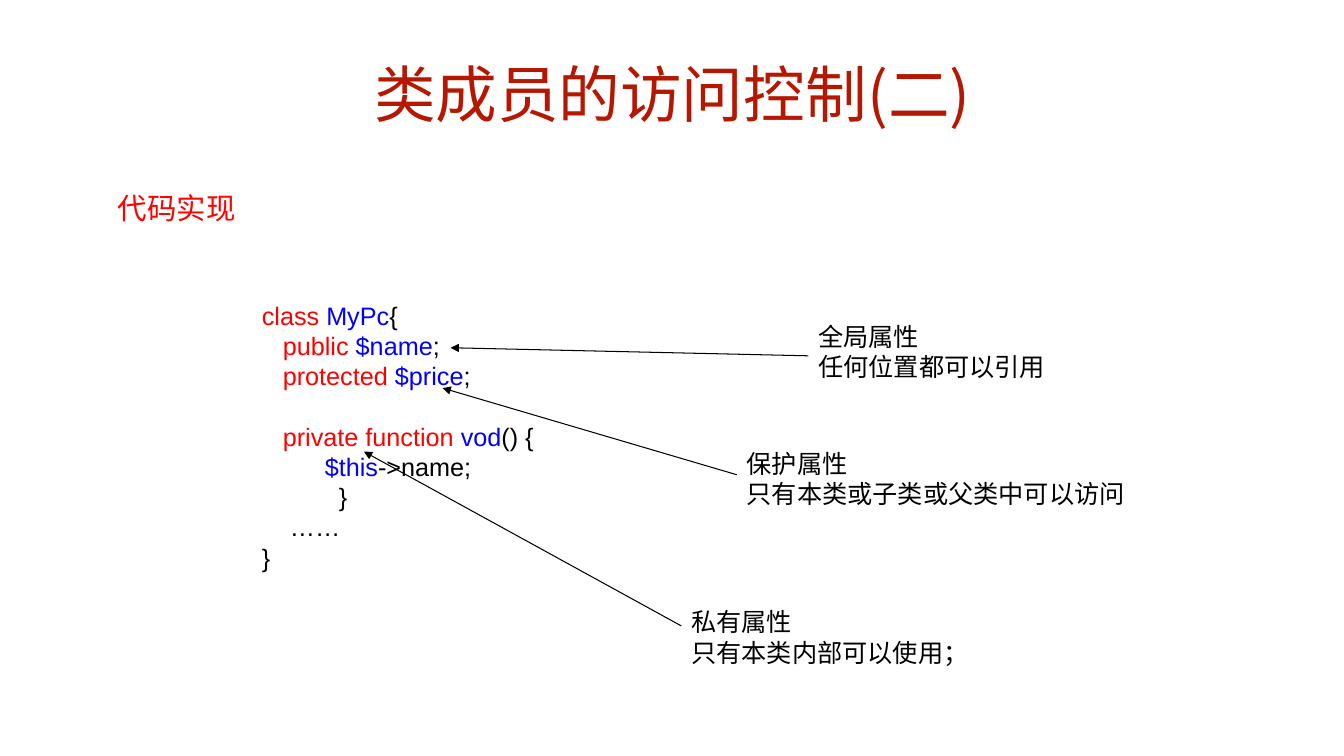
from dataclasses import dataclass

from lxml.etree import SubElement
from pptx import Presentation
from pptx.dml.color import RGBColor
from pptx.enum.shapes import MSO_CONNECTOR as Connector, MSO_SHAPE as Shape
from pptx.enum.text import MSO_ANCHOR as Anchor, PP_ALIGN as Align
from pptx.oxml.ns import qn
from pptx.slide import Slide
from pptx.text.text import TextFrame, _Paragraph as Paragraph
from pptx.util import Pt

RED = RGBColor(0xFF, 0x00, 0x00)
BLUE = RGBColor(0x00, 0x00, 0xFF)
BLACK = RGBColor(0x00, 0x00, 0x00)
WHITE = RGBColor(0xFF, 0xFF, 0xFF)
TITLE_RED = RGBColor(0xB5, 0x17, 0x00)

LATIN_FONT = "Arial"
CHINESE_FONT = "Noto Sans CJK SC"
BODY_SIZE = 18
BODY_LEADING = Pt(21.6)


@dataclass
class Heading:
    text: str
    left: float
    top: float
    width: float
    height: float
    size: float
    color: RGBColor
    align: Align


@dataclass
class Callout:
    lines: tuple[str, str]
    left: float
    top: float
    width: float
    arrow_start: tuple[float, float]
    arrow_end: tuple[float, float]


HEADINGS = [
    Heading("代码实现", 84.24, 138.96, 231.84, 25.2, 21, RED, Align.LEFT),
    Heading("类成员的访问控制(二)", 250.56, 46.08, 459.36, 53.28, 44, TITLE_RED, Align.CENTER),
]

CODE_LINES = [
    [("class ", RED), ("MyPc", BLUE), ("{", BLACK)],
    [("   public ", RED), ("$name", BLUE), (";", BLACK)],
    [("   protected ", RED), ("$price", BLUE), (";", BLACK)],
    [],
    [("   private function ", RED), ("vod", BLUE), ("() {", BLACK)],
    [("         $this", BLUE), ("->name;", BLACK)],
    [("           }", BLACK)],
    [("    ……", BLACK)],
    [("}", BLACK)],
]

CALLOUTS = [
    Callout(("全局属性", "任何位置都可以引用"),
            577.44, 226.08, 176.4, (577.44, 254.16), (321.84, 248.4)),
    Callout(("保护属性", "只有本类或子类或父类中可以访问"),
            526.32, 316.8, 284.4, (526.32, 339.12), (316.08, 277.2)),
    Callout(("私有属性", "只有本类内部可以使用；"),
            486.72, 429.84, 212.4, (486.72, 447.12), (259.92, 322.56)),
]


def add_span(para: Paragraph, text: str, font: str, size: float, color: RGBColor) -> None:
    span = para.add_run()
    span.text = text
    span.font.name = font
    span.font.size = Pt(size)
    span.font.color.rgb = color
    if text[0] >= "一":
        SubElement(span.font._element, qn("a:ea"), typeface=CHINESE_FONT)


def next_para(frame: TextFrame, index: int) -> Paragraph:
    para = frame.add_paragraph() if index else frame.paragraphs[0]
    para.line_spacing = BODY_LEADING
    para.alignment = Align.LEFT
    return para


def add_heading(page: Slide, heading: Heading) -> None:
    box = page.shapes.add_textbox(
        Pt(heading.left), Pt(heading.top), Pt(heading.width), Pt(heading.height))
    frame = box.text_frame
    frame.word_wrap = True
    frame.margin_left = frame.margin_right = frame.margin_top = frame.margin_bottom = 0
    para = frame.paragraphs[0]
    para.alignment = heading.align
    para.line_spacing = 0.9
    add_span(para, heading.text, CHINESE_FONT, heading.size, heading.color)


def add_code(page: Slide) -> None:
    box = page.shapes.add_shape(Shape.RECTANGLE, Pt(180), Pt(203.76), Pt(266.4), Pt(215.28))
    box.shadow.inherit = False
    box.fill.solid()
    box.fill.fore_color.rgb = WHITE
    box.line.fill.background()
    frame = box.text_frame
    frame.word_wrap = False
    frame.vertical_anchor = Anchor.MIDDLE
    for index, spans in enumerate(CODE_LINES):
        para = next_para(frame, index)
        para.font.size = Pt(BODY_SIZE)
        for text, color in spans:
            add_span(para, text, LATIN_FONT, BODY_SIZE, color)


def add_callout(page: Slide, callout: Callout) -> None:
    # Arrow towards the code
    start_x, start_y = callout.arrow_start
    end_x, end_y = callout.arrow_end
    arrow = page.shapes.add_connector(
        Connector.STRAIGHT, Pt(start_x), Pt(start_y), Pt(end_x), Pt(end_y))
    arrow.line.color.rgb = BLACK
    arrow.line.width = Pt(0.75)
    SubElement(arrow.line._get_or_add_ln(), qn("a:tailEnd"), type="triangle")
    SubElement(arrow._element.spPr, qn("a:effectLst"))

    # Explanation
    box = page.shapes.add_textbox(
        Pt(callout.left), Pt(callout.top), Pt(callout.width), Pt(51.12))
    frame = box.text_frame
    frame.word_wrap = False
    for index, text in enumerate(callout.lines):
        add_span(next_para(frame, index), text, LATIN_FONT, BODY_SIZE, BLACK)


def main() -> None:
    deck = Presentation()
    deck.slide_width, deck.slide_height = Pt(960), Pt(540)
    page = deck.slides.add_slide(deck.slide_layouts[6])
    for heading in HEADINGS:
        add_heading(page, heading)
    add_code(page)
    for callout in CALLOUTS:
        add_callout(page, callout)
    deck.save("out.pptx")


if __name__ == "__main__":
    main()
